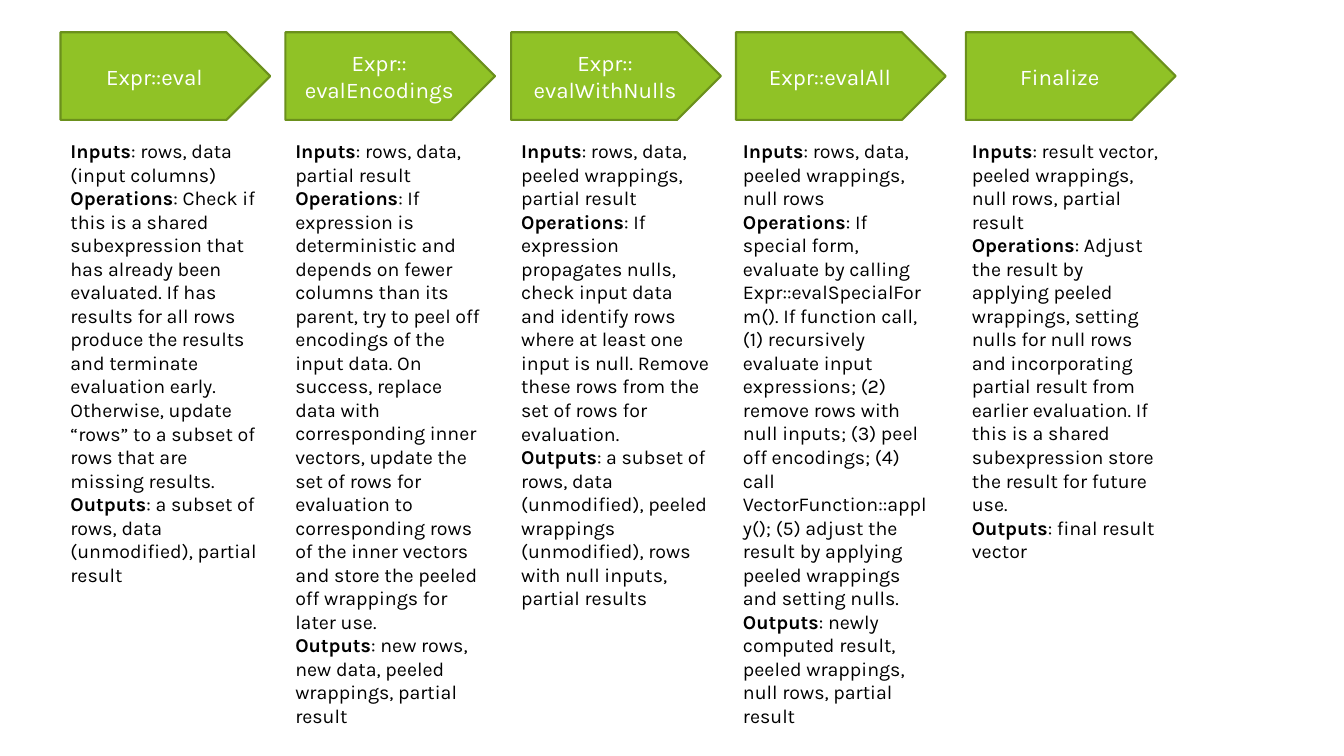
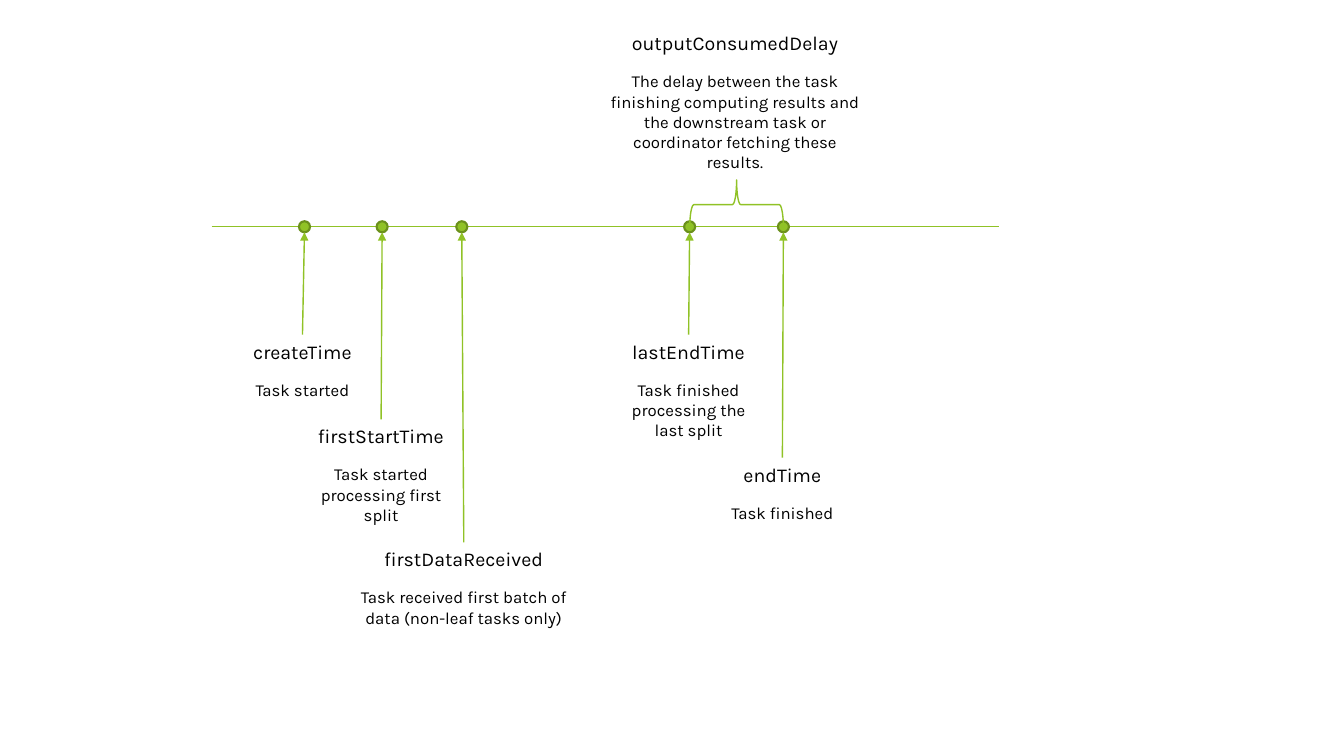
from lxml.etree import SubElement
from pptx import Presentation
from pptx.dml.color import RGBColor
from pptx.enum.shapes import MSO_CONNECTOR, MSO_SHAPE
from pptx.enum.text import MSO_ANCHOR, MSO_AUTO_SIZE, PP_ALIGN
from pptx.oxml.ns import qn
from pptx.util import Inches, Pt

FONT = "Karla"
GREEN = RGBColor(0x90, 0xC2, 0x26)
DARK_GREEN = RGBColor(0x6B, 0x90, 0x1C)
BLACK = RGBColor(0, 0, 0)
WHITE = RGBColor(0xFF, 0xFF, 0xFF)

# Evaluation steps: arrow left, text left, text height, heading lines, parts
PART_NAMES = ("Inputs", "Operations", "Outputs")
STEPS = [
    (0.6, 0.6, 4.58, ["Expr::eval"], (
        "rows, data (input columns)",
        "Check if this is a shared subexpression that has already been evaluated. "
        "If has results for all rows produce the results and terminate evaluation "
        "early. Otherwise, update “rows” to a subset of rows that are missing results.",
        "a subset of rows, data (unmodified), partial result")),
    (2.83, 2.83, 5.76, ["Expr::", "evalEncodings"], (
        "rows, data, partial result",
        "If expression is deterministic and depends on fewer columns than its parent, "
        "try to peel off encodings of the input data. On success, replace data with "
        "corresponding inner vectors, update the set of rows for evaluation to "
        "corresponding rows of the inner vectors and store the peeled off wrappings "
        "for later use.",
        "new rows, new data, peeled wrappings, partial result")),
    (5.07, 5.07, 4.58, ["Expr::", "evalWithNulls"], (
        "rows, data, peeled wrappings, partial result",
        "If expression propagates nulls, check input data and identify rows where at "
        "least one input is null. Remove these rows from the set of rows for evaluation.",
        "a subset of rows, data (unmodified), peeled wrappings (unmodified), rows with "
        "null inputs, partial results")),
    (7.3, 7.27, 6.23, ["Expr::evalAll"], (
        "rows, data, peeled wrappings, null rows",
        "If special form, evaluate by calling Expr::evalSpecialForm(). If function "
        "call, (1) recursively evaluate input expressions; (2) remove rows with null "
        "inputs; (3) peel off encodings; (4) call VectorFunction::apply(); (5) adjust "
        "the result by applying peeled wrappings and setting nulls.",
        "newly computed result, peeled wrappings, null rows, partial result")),
    (9.58, 9.54, 4.34, ["Finalize"], (
        "result vector, peeled wrappings, null rows, partial result",
        "Adjust the result by applying peeled wrappings, setting nulls for null rows "
        "and incorporating partial result from earlier evaluation. If this is a shared "
        "subexpression store the result for future use.",
        "final result vector")),
]
STEP_W, ARROW_TOP, ARROW_H, STEP_TEXT_TOP = 2.08, 0.32, 0.87, 1.33

# Task events: dot centre, label centre, label top, width, height, name, meaning
EVENTS = [
    (3.02, 3.0, 3.32, 1.64, 0.71, "createTime", "Task started"),
    (3.79, 3.78, 4.16, 1.64, 1.11, "firstStartTime",
     "Task started processing first split"),
    (4.58, 4.6, 5.38, 2.46, 0.91, "firstDataReceived",
     "Task received first batch of data (non-leaf tasks only)"),
    (6.84, 6.83, 3.32, 1.64, 1.11, "lastEndTime",
     "Task finished processing the last split"),
    (7.77, 7.76, 4.54, 1.64, 0.71, "endTime", "Task finished"),
]
DELAY = (7.29, 0.26, 2.72, 1.51, "outputConsumedDelay",
         "The delay between the task finishing computing results and the downstream "
         "task or coordinator fetching these results.")
AXIS_LEFT, AXIS_RIGHT, AXIS_Y = 2.1, 9.91, 2.25
DOT = 0.11
BRACE_DEPTH, BRACE_MID_Y = 0.49, 2.03


def add_shape(s, kind, left, top, width, height, fill=GREEN, line=DARK_GREEN, weight=1.5):
    sp = s.shapes.add_shape(kind, Inches(left), Inches(top), Inches(width), Inches(height))
    sp.shadow.inherit = False
    if fill is None:
        sp.fill.background()
    else:
        sp.fill.solid()
        sp.fill.fore_color.rgb = fill
    sp.line.color.rgb = line
    sp.line.width = Pt(weight)
    return sp


def add_line(s, x1, y1, x2, y2, arrow=False):
    cxn = s.shapes.add_connector(
        MSO_CONNECTOR.STRAIGHT, Inches(x1), Inches(y1), Inches(x2), Inches(y2))
    cxn.line.color.rgb = GREEN
    cxn.line.width = Pt(1)
    if arrow:
        SubElement(cxn.line._get_or_add_ln(), qn("a:tailEnd"), type="triangle")
    SubElement(cxn._element.spPr, qn("a:effectLst"))


def write(tf, paragraphs, color=BLACK, align=None, gap=0):
    """Fill a frame from paragraphs, each a list of (text, size, bold) runs."""
    tf.word_wrap = True
    for i, runs in enumerate(paragraphs):
        p = tf.add_paragraph() if i else tf.paragraphs[0]
        p.alignment = align
        if i and gap:
            p.space_before = Pt(gap)
        for text, size, bold in runs:
            r = p.add_run()
            r.text = text
            r.font.name = FONT
            r.font.size = Pt(size)
            r.font.bold = bold
            r.font.color.rgb = color


def add_text(s, left, top, width, height, paragraphs, **style):
    box = s.shapes.add_textbox(Inches(left), Inches(top), Inches(width), Inches(height))
    write(box.text_frame, paragraphs, **style)
    box.text_frame.auto_size = MSO_AUTO_SIZE.SHAPE_TO_FIT_TEXT


def add_label(s, center, top, width, height, name, meaning):
    add_text(s, center - width / 2, top, width, height,
             [[(name, 14, False)], [(meaning, 12, False)]],
             align=PP_ALIGN.CENTER, gap=11.7)


def build_steps(s):
    for arrow_left, text_left, text_h, heading, parts in STEPS:
        sp = add_shape(s, MSO_SHAPE.PENTAGON, arrow_left, ARROW_TOP, STEP_W, ARROW_H)
        sp.text_frame.vertical_anchor = MSO_ANCHOR.MIDDLE
        write(sp.text_frame, [[(line, 16, False)] for line in heading],
              color=WHITE, align=PP_ALIGN.CENTER)
        add_text(s, text_left, STEP_TEXT_TOP, STEP_W, text_h,
                 [[(name, 14, True), (f": {part}", 14, False)]
                  for name, part in zip(PART_NAMES, parts)])


def build_timeline(s):
    add_label(s, *DELAY)
    add_line(s, AXIS_LEFT, AXIS_Y, AXIS_RIGHT, AXIS_Y)
    for dot_x, label_x, top, width, height, name, meaning in EVENTS:
        add_shape(s, MSO_SHAPE.OVAL, dot_x - DOT / 2, AXIS_Y - DOT / 2, DOT, DOT)
        add_line(s, label_x, top, dot_x, AXIS_Y + DOT / 2, arrow=True)
        add_label(s, label_x, top, width, height, name, meaning)

    # The brace spans the last two events
    start, end = EVENTS[-2][0], EVENTS[-1][0]
    span = end - start
    brace = add_shape(s, MSO_SHAPE.LEFT_BRACE, (start + end - BRACE_DEPTH) / 2,
                      BRACE_MID_Y - span / 2, BRACE_DEPTH, span,
                      fill=None, line=GREEN, weight=1)
    brace.rotation = 90


def main():
    prs = Presentation()
    prs.slide_width, prs.slide_height = Inches(13.33), Inches(7.5)
    blank = prs.slide_layouts[6]
    for build in (build_steps, build_timeline):
        build(prs.slides.add_slide(blank))
    prs.save("out.pptx")


if __name__ == "__main__":
    main()
